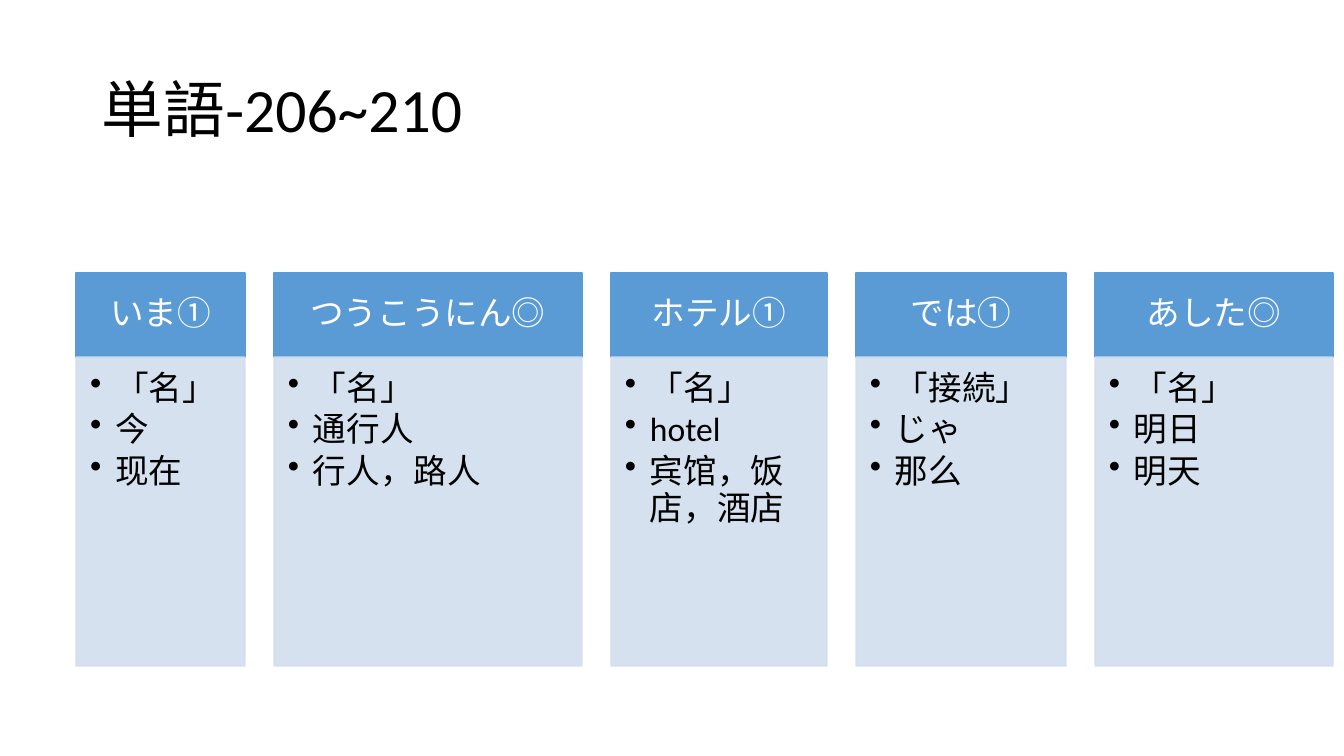
from dataclasses import dataclass
from lxml.etree import SubElement
from pptx import Presentation
from pptx.dml.color import RGBColor
from pptx.enum.shapes import MSO_SHAPE
from pptx.enum.text import MSO_ANCHOR, PP_ALIGN
from pptx.oxml.ns import qn
from pptx.util import Pt

# Content: heading, width in px, meanings
TITLE = "単語-206~210"
WORDS = [
    ("いま①", 169, ["「名」", "今", "现在"]),
    ("つうこうにん◎", 308, ["「名」", "通行人", "行人，路人"]),
    ("ホテル①", 216, ["「名」", "hotel", "宾馆，饭店，酒店"]),
    ("では①", 210, ["「接続」", "じゃ", "那么"]),
    ("あした◎", 238, ["「名」", "明日", "明天"]),
]


@dataclass
class Theme:
    font: str = "Calibri"
    title: int = 44
    body: int = 24
    black: str = "000000"
    white: str = "FFFFFF"
    head: str = "5B9BD5"
    panel: str = "D2DEEF"
    alpha: int = 90


theme = Theme()

# Layout in px
LEFT, TOP, GAP = 76, 273, 29
HEAD, PANEL = 84, 309
INDENT = 25


def px(n):
    return round(n * 914400 / 100.8)


def write(shape, lines, size, color, insets, anchor, align, after, bullet=False):
    frame = shape.text_frame
    frame.word_wrap = True
    frame.vertical_anchor = anchor
    (frame.margin_left, frame.margin_top,
     frame.margin_right, frame.margin_bottom) = map(px, insets)
    frame.text = "\n".join(lines)
    for para in frame.paragraphs:
        para.alignment = align
        para.line_spacing = 0.9
        para.space_after = Pt(after)
        if bullet:
            props = para._p.get_or_add_pPr()
            props.set("marL", str(px(INDENT)))
            props.set("indent", str(-px(INDENT)))
            SubElement(props, qn("a:buChar"), char="•")
        for run in para.runs:
            run.font.name = theme.font
            run.font.size = Pt(size)
            run.font.color.rgb = RGBColor.from_string(color)


def block(slide, left, top, width, height, color, alpha=100):
    shape = slide.shapes.add_shape(
        MSO_SHAPE.RECTANGLE, px(left), px(top), px(width), px(height))
    shape.shadow.inherit = False
    shape.line.width = Pt(1)
    shape.fill.solid()
    for paint in (shape.fill.fore_color, shape.line.color):
        paint.rgb = RGBColor.from_string(color)
    if alpha < 100:
        for tint in shape._element.spPr.iter(qn("a:srgbClr")):
            SubElement(tint, qn("a:alpha"), val=str(alpha * 1000))
    return shape


def main():
    deck = Presentation()
    deck.slide_width, deck.slide_height = px(1344), px(756)
    slide = deck.slides.add_slide(deck.slide_layouts[6])

    # Title
    box = slide.shapes.add_textbox(px(92), px(40), px(1159), px(146))
    write(box, [TITLE], theme.title, theme.black, (10, 5, 10, 5),
          MSO_ANCHOR.MIDDLE, PP_ALIGN.LEFT, 0)

    # Word columns
    left = LEFT
    for word, width, notes in WORDS:
        head = block(slide, left, TOP, width, HEAD, theme.head)
        write(head, [word], theme.body, theme.white, (19, 11, 19, 11),
              MSO_ANCHOR.MIDDLE, PP_ALIGN.CENTER, 8)
        panel = block(slide, left, TOP + HEAD, width, PANEL,
                      theme.panel, theme.alpha)
        write(panel, notes, theme.body, theme.black, (14, 14, 19, 21),
              MSO_ANCHOR.TOP, PP_ALIGN.LEFT, 4, bullet=True)
        left += width + GAP

    deck.save("out.pptx")


if __name__ == "__main__":
    main()
